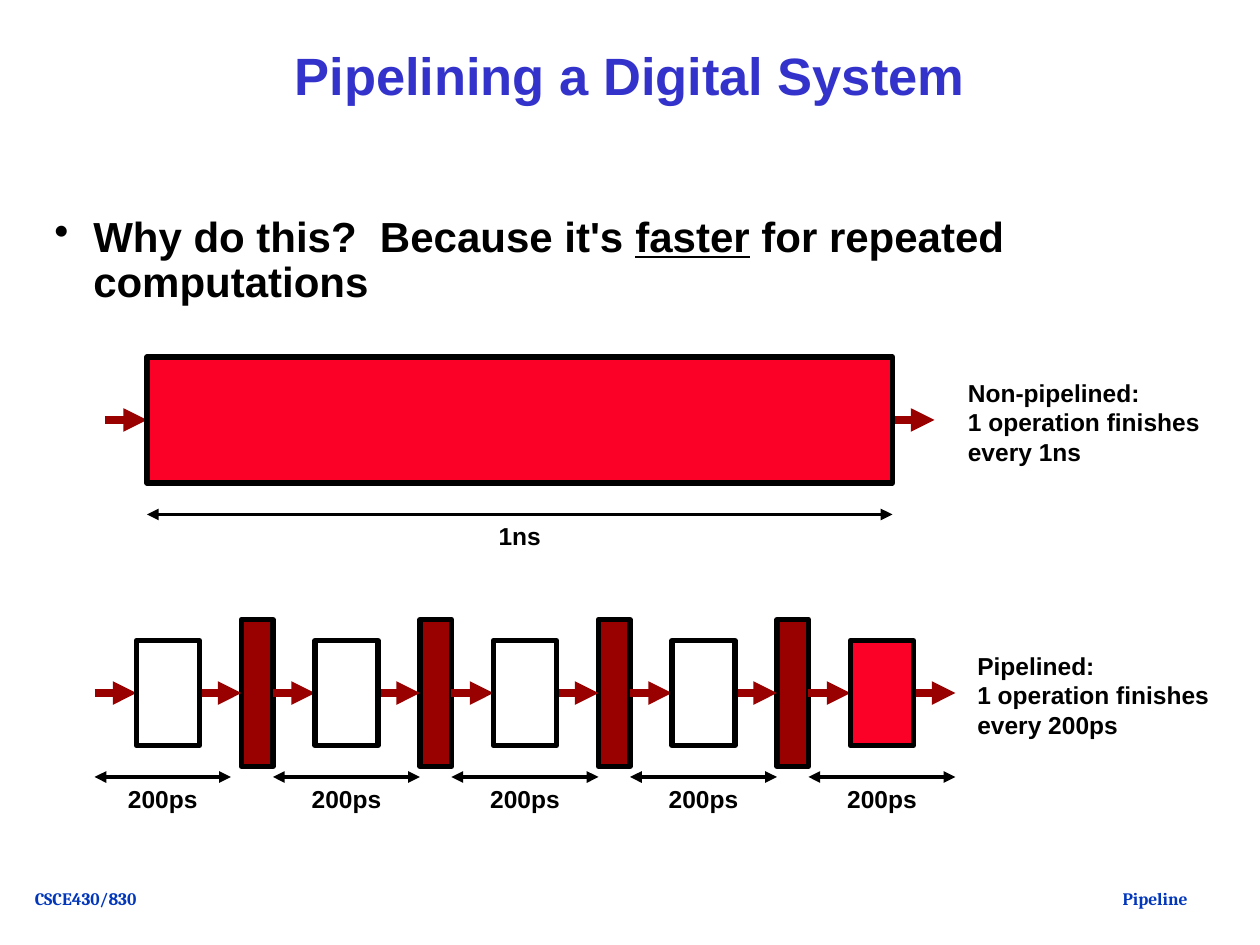
import dataclasses

import pptx
import pptx.dml.color
import pptx.enum.shapes
import pptx.enum.text
import pptx.oxml.xmlchemy
import pptx.util

ALIGN = pptx.enum.text.PP_ALIGN
ANCHOR = pptx.enum.text.MSO_ANCHOR
EMU_PER_PX = 7620  # 120 px to the inch


@dataclasses.dataclass(frozen=True)
class Theme:
    title: str = "3333CC"
    ink: str = "000000"
    footer: str = "0237BC"
    register: str = "990000"
    busy: str = "FC0128"
    idle: str = "FFFFFF"
    font: str = "Arial"
    footer_font: str = "Cambria"
    title_size: int = 30
    bullet_size: int = 24
    label_size: int = 14
    footer_size: int = 10
    outline: float = 3
    flow_width: float = 4.5
    span_width: float = 2.25


THEME = Theme()


def px(length):
    return pptx.util.Emu(round(length * EMU_PER_PX))


def rgb(color):
    return pptx.dml.color.RGBColor.from_string(color)


def append_element(parent, tag, **attributes):
    element = pptx.oxml.xmlchemy.OxmlElement(tag)
    for name, value in attributes.items():
        element.set(name, value)
    parent.append(element)


def add_run(paragraph, text, size, color=THEME.ink, font=THEME.font, underline=None):
    run = paragraph.add_run()
    run.text = text
    run.font.name = font
    run.font.size = pptx.util.Pt(size)
    run.font.bold = True
    run.font.underline = underline
    run.font.color.rgb = rgb(color)


def add_label(slide, box, lines, align=ALIGN.CENTER, anchor=ANCHOR.MIDDLE,
              size=THEME.label_size, **run_format):
    label = slide.shapes.add_textbox(*map(px, box))
    frame = label.text_frame
    frame.word_wrap = False
    frame.auto_size = pptx.enum.text.MSO_AUTO_SIZE.SHAPE_TO_FIT_TEXT
    frame.vertical_anchor = anchor
    for index, line in enumerate(lines):
        paragraph = frame.add_paragraph() if index else frame.paragraphs[0]
        paragraph.alignment = align
        add_run(paragraph, line, size, **run_format)


def add_box(slide, box, fill):
    block = slide.shapes.add_shape(
        pptx.enum.shapes.MSO_SHAPE.RECTANGLE, *map(px, box))
    block.shadow.inherit = False
    block.fill.solid()
    block.fill.fore_color.rgb = rgb(fill)
    block.line.color.rgb = rgb(THEME.ink)
    block.line.width = pptx.util.Pt(THEME.outline)


def add_arrow(slide, start, end, y, color, width, ends):
    arrow = slide.shapes.add_connector(
        pptx.enum.shapes.MSO_CONNECTOR.STRAIGHT, px(start), px(y), px(end), px(y))
    arrow.line.color.rgb = rgb(color)
    arrow.line.width = pptx.util.Pt(width)
    for end_tag in ends:
        append_element(arrow.line._get_or_add_ln(), end_tag, type="triangle")
    append_element(arrow._element.spPr, "a:effectLst")


def add_flow(slide, start, y):
    add_arrow(slide, start, start + 40, y, THEME.register, THEME.flow_width,
              ["a:tailEnd"])


def add_time_span(slide, start, end, y, duration):
    add_arrow(slide, start, end, y, THEME.ink, THEME.span_width,
              ["a:headEnd", "a:tailEnd"])
    label_width = 90
    add_label(slide, ((start + end - label_width) / 2, y, label_width, 41), [duration])


def add_title(slide, text):
    title = slide.shapes.title
    title.left, title.top, title.width, title.height = map(px, (130, 0, 940, 150))
    title.text_frame.vertical_anchor = ANCHOR.MIDDLE
    paragraph = title.text_frame.paragraphs[0]
    paragraph.alignment = ALIGN.CENTER
    paragraph.line_spacing = 0.9
    add_run(paragraph, text, THEME.title_size, THEME.title)


def add_bullet(slide, box, parts):
    frame = slide.shapes.add_textbox(*map(px, box)).text_frame
    frame.word_wrap = True
    paragraph = frame.paragraphs[0]
    paragraph.line_spacing = 0.9
    paragraph.space_before = pptx.util.Pt(9)
    properties = paragraph._p.get_or_add_pPr()
    indent = px(37)
    properties.set("marL", str(indent))
    properties.set("indent", str(-indent))
    append_element(properties, "a:buChar", char="•")
    for text, underline in parts:
        add_run(paragraph, text, THEME.bullet_size, underline=underline)


def add_non_pipelined(slide):
    left, width = 140, 710
    right = left + width
    add_flow(slide, left - 40, 400)
    add_flow(slide, right, 400)
    add_time_span(slide, left, right, 490, "1ns")
    add_label(slide, (910, 354, 245, 96),
              ["Non-pipelined:", "1 operation finishes", "every 1ns"], ALIGN.LEFT)
    add_box(slide, (left, 340, width, 120), THEME.busy)


def add_pipelined(slide):
    first, pitch, width = 130, 170, 60
    stage_lefts = [first + stage * pitch for stage in range(5)]

    # Registers stand between stages, behind the arrows
    for left in stage_lefts[:-1]:
        add_box(slide, (left + width + 40, 590, 30, 140), THEME.register)

    for left in stage_lefts:
        right = left + width
        add_flow(slide, left - 40, 660)
        add_flow(slide, right, 660)
        # The first span stops just short of its register
        span_end = right + (30 if left == first else 40)
        add_time_span(slide, left - 40, span_end, 740, "200ps")
        fill = THEME.busy if left == stage_lefts[-1] else THEME.idle
        add_box(slide, (left, 610, width, 100), fill)

    add_label(slide, (919, 614, 245, 96),
              ["Pipelined:", "1 operation finishes", "every 200ps"], ALIGN.LEFT)


def main():
    deck = pptx.Presentation()
    deck.slide_width, deck.slide_height = px(1200), px(900)
    slide = deck.slides.add_slide(deck.slide_layouts.get_by_name("Title Only"))

    # Footer
    for box, text in (((1054, 840, 92, 31), "Pipeline"),
                      ((18, 840, 127, 31), "CSCE430/830")):
        add_label(slide, box, [text], anchor=ANCHOR.TOP, size=THEME.footer_size,
                  color=THEME.footer, font=THEME.footer_font)

    # Heading and reason
    add_title(slide, "Pipelining a Digital System")
    add_bullet(slide, (40, 200, 1060, 600),
               [("Why do this?  Because it's ", None), ("faster", True),
                (" for repeated computations", None)])

    # Diagrams
    add_non_pipelined(slide)
    add_pipelined(slide)
    deck.save("out.pptx")


if __name__ == "__main__":
    main()
